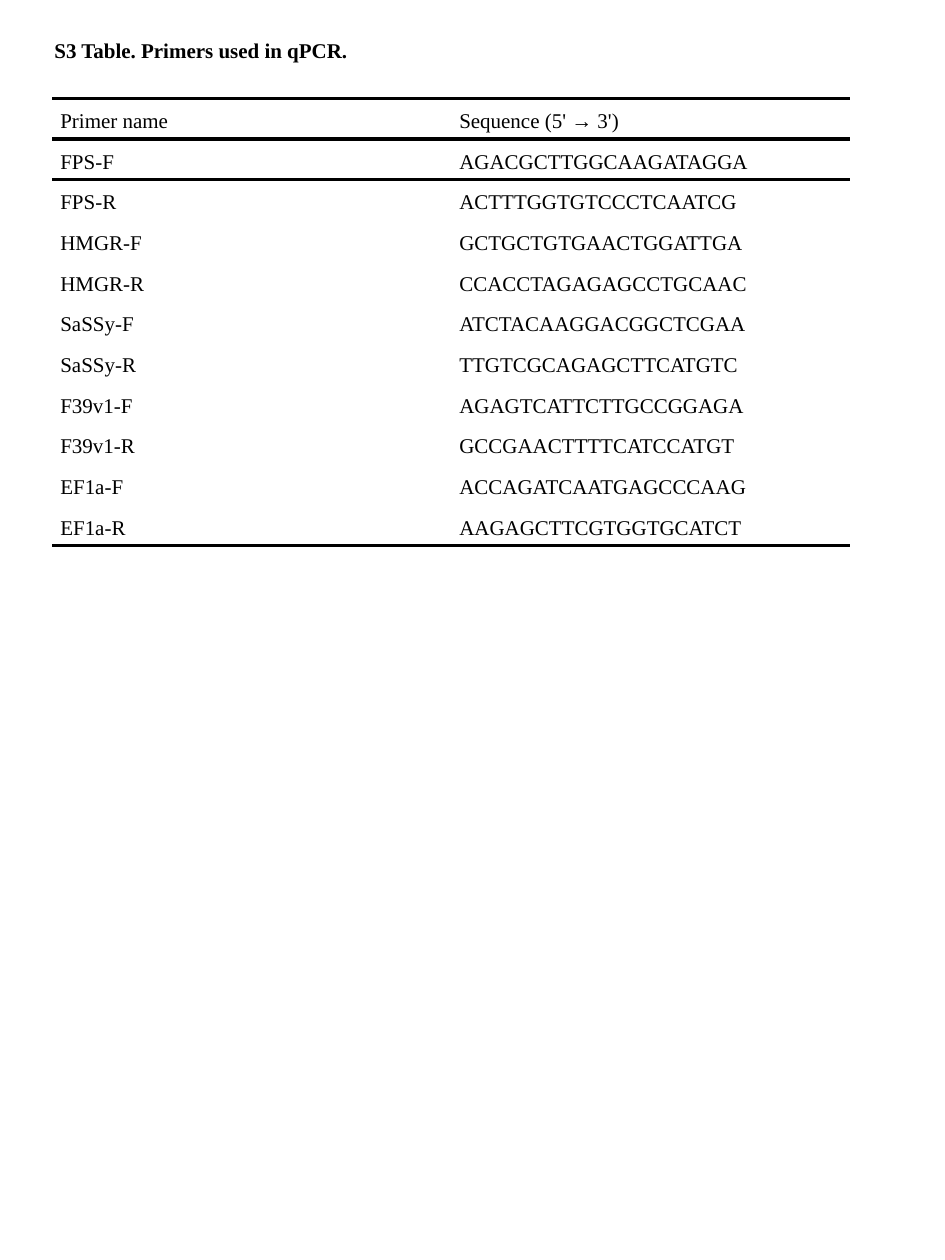
from dataclasses import dataclass

from lxml import etree
from pptx import Presentation
from pptx.dml.color import RGBColor
from pptx.enum import text
from pptx.oxml import ns
from pptx.util import Pt


@dataclass(frozen=True)
class Theme:
    """Colours, type and rule weight of the slide."""
    ink: str = "000000"
    font: str = "Times New Roman"
    size: float = 12
    rule: float = 2.25


THEME = Theme()
NO_GRID_STYLE = "{2D5ABB26-0587-4C30-8999-92F81FD0307C}"
HEADINGS = ("Primer name", "Sequence (5' → 3')")
PRIMERS = [
    ("FPS-F", "AGACGCTTGGCAAGATAGGA"),
    ("FPS-R", "ACTTTGGTGTCCCTCAATCG"),
    ("HMGR-F", "GCTGCTGTGAACTGGATTGA"),
    ("HMGR-R", "CCACCTAGAGAGCCTGCAAC"),
    ("SaSSy-F", "ATCTACAAGGACGGCTCGAA"),
    ("SaSSy-R", "TTGTCGCAGAGCTTCATGTC"),
    ("F39v1-F", "AGAGTCATTCTTGCCGGAGA"),
    ("F39v1-R", "GCCGAACTTTTCATCCATGT"),
    ("EF1a-F", "ACCAGATCAATGAGCCCAAG"),
    ("EF1a-R", "AAGAGCTTCGTGGTGCATCT"),
]


def style_font(paragraph, bold=False):
    """Apply the theme's type to a paragraph."""
    font = paragraph.font
    font.name, font.size, font.bold = THEME.font, Pt(THEME.size), bold
    font.color.rgb = RGBColor.from_string(THEME.ink)


def add_rule(cell, side):
    """Draw a heavy border on one side of a cell."""
    properties = cell._tc.get_or_add_tcPr()
    line = etree.SubElement(properties, ns.qn(f"a:{side}"), w=str(Pt(THEME.rule)))
    fill = etree.SubElement(line, ns.qn("a:solidFill"))
    etree.SubElement(fill, ns.qn("a:srgbClr"), val=THEME.ink)


def add_caption(slide, left, top, width, height):
    """Place the bold table caption in the given box."""
    caption = slide.shapes.add_textbox(Pt(left), Pt(top), Pt(width), Pt(height))
    frame = caption.text_frame
    frame.word_wrap = True
    frame.auto_size = text.MSO_AUTO_SIZE.SHAPE_TO_FIT_TEXT
    frame.vertical_anchor = text.MSO_ANCHOR.MIDDLE
    frame.text = "S3 Table. Primers used in qPCR."
    style_font(frame.paragraphs[0], bold=True)


def fill_cell(cell, content, sides):
    """Write one table cell and rule the given sides."""
    cell.margin_left = cell.margin_right = Pt(4.5)
    cell.margin_top = cell.margin_bottom = 0
    cell.text = content
    paragraph = cell.text_frame.paragraphs[0]
    paragraph.alignment = text.PP_ALIGN.JUSTIFY
    paragraph.line_spacing = 1.5
    style_font(paragraph)
    for side in sides:
        add_rule(cell, side)
    cell.fill.background()


def add_primer_table(slide, left, top, width, height):
    """Place the ruled primer table in the given box."""
    records = [HEADINGS, *PRIMERS]
    table = slide.shapes.add_table(
        len(records), len(HEADINGS), Pt(left), Pt(top), Pt(width), Pt(height)).table
    table.horz_banding = False
    table._tbl.tblPr.find(ns.qn("a:tableStyleId")).text = NO_GRID_STYLE
    rules = {0: ("lnT", "lnB"), 1: ("lnT",), len(records) - 1: ("lnB",)}
    for row, record in enumerate(records):
        for column, content in enumerate(record):
            fill_cell(table.cell(row, column), content, rules.get(row, ()))


def main():
    """Build the primer slide."""
    deck = Presentation()
    deck.slide_width, deck.slide_height = Pt(540), Pt(720)
    slide = deck.slides.add_slide(deck.slide_layouts[6])
    add_caption(slide, 24, 18, 216, 21.8)
    add_primer_table(slide, 30, 56.2, 456, 255.6)
    deck.save("out.pptx")


if __name__ == "__main__":
    main()
